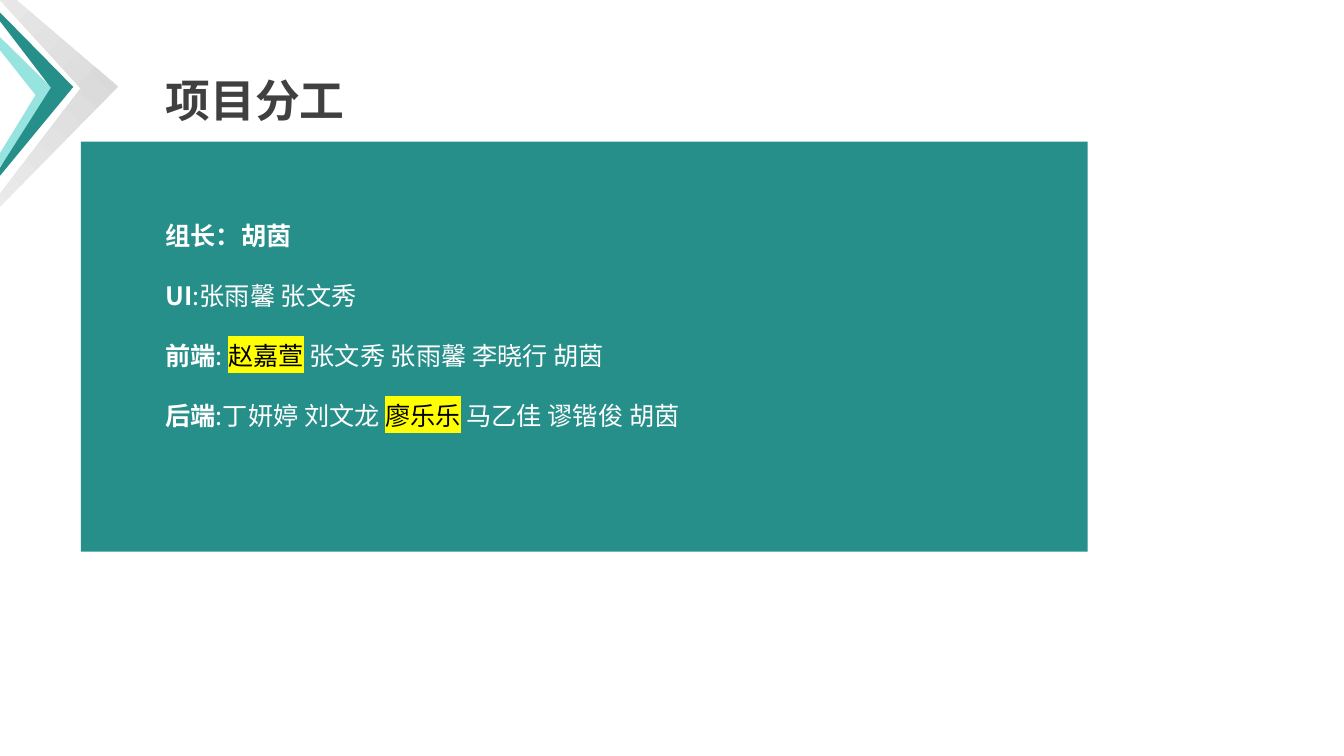
from lxml.etree import SubElement
from pptx import Presentation
from pptx.dml.color import RGBColor
from pptx.enum.shapes import MSO_SHAPE
from pptx.enum.text import PP_ALIGN
from pptx.oxml.ns import qn
from pptx.util import Cm, Pt

FONT = "Noto Sans CJK JP"
TEAL = RGBColor(0x26, 0x8F, 0x8A)
MINT = RGBColor(0x97, 0xE3, 0xE0)
LIGHT_GREY = RGBColor(0xF2, 0xF2, 0xF2)
MID_GREY = RGBColor(0xD9, 0xD9, 0xD9)
DARK_GREY = RGBColor(0x40, 0x40, 0x40)
WHITE = RGBColor(0xFF, 0xFF, 0xFF)
BLACK = RGBColor(0, 0, 0)
YELLOW = RGBColor(0xFF, 0xFF, 0)

# Colours (two make a gradient), blade width and length in cm,
# then left, top and rotation of the upper and the lower blade
CHEVRONS = [
    ([MINT], 0.46, 3.71, [(-0.18, -0.71, 318), (-0.05, 1.93, 215)]),
    ([TEAL], 0.46, 3.71, [(0.23, -0.91, 319), (0.3, 1.75, 216)]),
    ([LIGHT_GREY, MID_GREY], 0.71, 5.82, [(0.25, -2.51, 314), (0.43, 1.24, 221)]),
]

# Each line is a list of (text, style) runs
TEAM = [
    [("组长：胡茵", "bold")],
    [("UI", "bold"), (":张雨馨 张文秀", "plain")],
    [("前端", "bold"), (": ", "plain"), ("赵嘉萱", "marked"),
     (" 张文秀 张雨馨 李晓行 胡茵", "plain")],
    [("后端", "bold"), (":丁妍婷 刘文龙 ", "plain"), ("廖乐乐", "marked"),
     (" 马乙佳 谬锴俊 胡茵", "plain")],
]


def format_run(r, size, color, bold=False, highlight=None):
    r.font.size = Pt(size)
    r.font.bold = bold
    r.font.color.rgb = color
    rPr = r._r.get_or_add_rPr()
    if highlight is not None:
        mark = SubElement(rPr, qn("a:highlight"))
        SubElement(mark, qn("a:srgbClr"), val=str(highlight))
    r.font.name = FONT
    SubElement(rPr, qn("a:ea"), typeface=FONT)


def add_text_frame(s, left, top, width, height):
    tf = s.shapes.add_textbox(left, top, width, height).text_frame
    tf.word_wrap = True
    return tf


def add_plain_shape(s, kind, left, top, width, height, colors):
    """Add a borderless shape; two colours make a vertical gradient."""
    sp = s.shapes.add_shape(kind, left, top, width, height)
    sp.shadow.inherit = False
    sp.line.fill.background()
    if len(colors) > 1:
        sp.fill.gradient()
        sp.fill.gradient_angle = 270
        for stop, color in zip(sp.fill.gradient_stops, colors):
            stop.color.rgb = color
    else:
        sp.fill.solid()
        sp.fill.fore_color.rgb = colors[0]
    return sp


def add_chevrons(s, left, top):
    for colors, width, length, blades in CHEVRONS:
        for x, y, rotation in blades:
            sp = add_plain_shape(s, MSO_SHAPE.ISOSCELES_TRIANGLE, left + Cm(x),
                                 top + Cm(y), Cm(width), Cm(length), colors)
            sp.rotation = rotation


def add_title(s, left, top, width, height):
    p = add_text_frame(s, left, top, width, height).paragraphs[0]
    p.text = "项目分工"
    p.alignment = PP_ALIGN.JUSTIFY
    p.line_spacing = 1.3
    format_run(p.runs[0], 32, DARK_GREY, bold=True)


def add_team_panel(s, left, top, width, height):
    add_plain_shape(s, MSO_SHAPE.RECTANGLE, left, top, width, height, [TEAL])
    tf = add_text_frame(s, left + Cm(1.88), top + Cm(1.86), Cm(21.23), Cm(5.64))
    for i, line in enumerate(TEAM):
        p = tf.add_paragraph() if i else tf.paragraphs[0]
        p.space_after = Pt(21.3)
        for text, style in line:
            r = p.add_run()
            r.text = text
            if style == "marked":
                format_run(r, 18, BLACK, highlight=YELLOW)
            else:
                format_run(r, 18, WHITE, bold=style == "bold")


def main():
    prs = Presentation()
    prs.slide_width, prs.slide_height = Cm(33.87), Cm(19.05)
    s = prs.slides.add_slide(prs.slide_layouts[6])
    add_team_panel(s, Cm(2.04), Cm(3.57), Cm(25.37), Cm(10.33))
    add_title(s, Cm(3.92), Cm(1.3), Cm(6.02), Cm(2.03))
    add_chevrons(s, Cm(0), Cm(0))
    prs.save("out.pptx")


if __name__ == "__main__":
    main()
